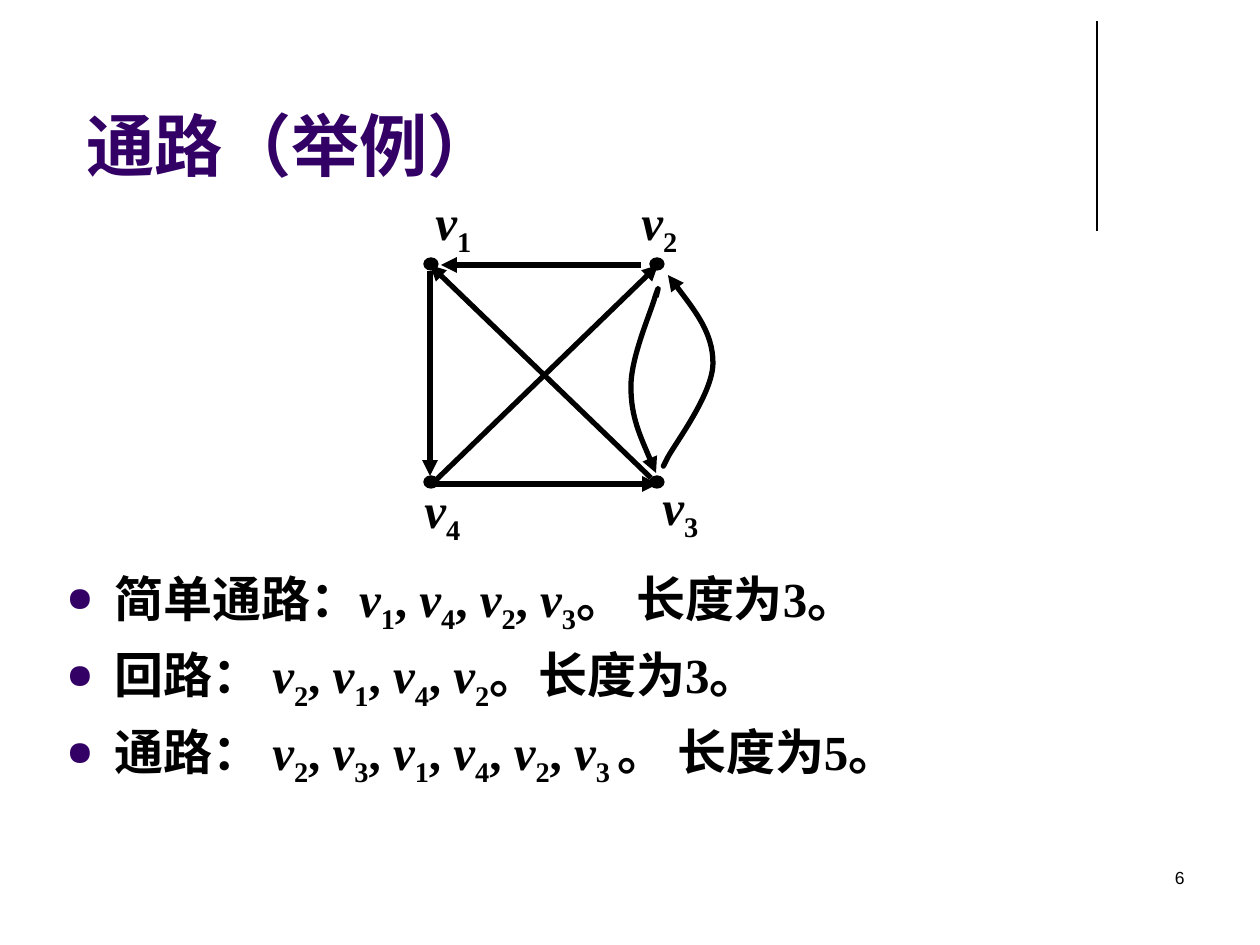
import pptx
import pptx.dml.color
import pptx.enum.shapes
import pptx.enum.text
import pptx.oxml
import pptx.oxml.ns
import pptx.util

EMU_PER_PX = 914400 / 126
BLACK = pptx.dml.color.RGBColor(0x00, 0x00, 0x00)
PURPLE = pptx.dml.color.RGBColor(0x33, 0x00, 0x66)
SERIF = "Times New Roman"
SANS = "Arial"

DOTS = [(424, 258), (650, 258), (424, 476), (650, 476)]
LABELS = [("1", 423, 185, 96), ("2", 629, 185, 91),
          ("3", 650, 470, 64), ("4", 412, 473, 64)]
STRAIGHT_EDGES = [
    ((641, 265), (441, 265)),
    ((651, 478), (430, 265)),
    ((433, 483), (658, 265)),
    ((430, 271), (430, 476)),
    ((436, 484), (658, 484)),
]
CURVED_EDGES = [
    [(668, 457), (664, 465), (660, 473), (668, 457), (677, 441),
     (713, 393), (713, 363), (713, 333), (690, 304), (668, 275)],
    [(656, 297), (658, 290), (660, 282), (655, 297), (651, 312),
     (630, 359), (631, 388), (631, 417), (644, 445), (656, 473)],
]
WALKS = [
    ("简单通路：", ["1", "4", "2", "3"], "。 长度为3。"),
    ("回路： ", ["2", "1", "4", "2"], "。长度为3。"),
    ("通路： ", ["2", "3", "1", "4", "2", "3 "], "。 长度为5。"),
]


def px(length):
    return pptx.util.Emu(round(length * EMU_PER_PX))


def add_xml(parent, tag, **attributes):
    element = pptx.oxml.parse_xml(f"<a:{tag} {pptx.oxml.ns.nsdecls('a')}/>")
    for name, value in attributes.items():
        element.set(name, value)
    parent.append(element)
    return element


def set_font(paragraph, size, name, color, bold):
    font = paragraph.font
    font.size = pptx.util.Pt(size)
    font.name = name
    font.bold = bold
    font.color.rgb = color


def set_stroke(shape, width, arrow=False):
    shape.line.color.rgb = BLACK
    shape.line.width = pptx.util.Pt(width)
    if arrow:
        add_xml(shape.line._get_or_add_ln(), "tailEnd", type="triangle")


def add_textbox(slide, left, top, width, height):
    box = slide.shapes.add_textbox(px(left), px(top), px(width), px(height))
    box.text_frame.word_wrap = True
    return box.text_frame


def add_line(slide, start, end, width, arrow=False):
    line = slide.shapes.add_connector(
        pptx.enum.shapes.MSO_CONNECTOR.STRAIGHT, *map(px, start + end))
    set_stroke(line, width, arrow)
    add_xml(line._element.spPr, "effectLst")


def add_curve(slide, points):
    builder = slide.shapes.build_freeform(*points[0], scale=EMU_PER_PX)
    builder.add_line_segments(points[1:], close=False)
    shape = builder.convert_to_shape()
    shape.fill.background()
    shape.shadow.inherit = False
    set_stroke(shape, 3, arrow=True)
    segments = shape._element.findall(".//" + pptx.oxml.ns.qn("a:lnTo"))
    outline = segments[0].getparent()
    for first in range(0, len(segments), 3):
        bezier = add_xml(outline, "cubicBezTo")
        for segment in segments[first:first + 3]:
            bezier.append(segment[0])
            outline.remove(segment)


def add_dot(slide, left, top):
    dot = slide.shapes.add_shape(
        pptx.enum.shapes.MSO_SHAPE.OVAL, px(left), px(top), px(14), px(12))
    dot.fill.solid()
    dot.fill.fore_color.rgb = BLACK
    dot.shadow.inherit = False
    set_stroke(dot, 0.75)


def add_vertex_name(paragraph, index):
    letter = paragraph.add_run()
    letter.text = "v"
    letter.font.italic = True
    subscript = paragraph.add_run()
    subscript.text = index
    subscript.font._element.set("baseline", "-25000")


def add_label(slide, index, left, top, width):
    paragraph = add_textbox(slide, left, top, width, 72).paragraphs[0]
    set_font(paragraph, 28, SERIF, BLACK, True)
    add_vertex_name(paragraph, index)


def add_bullet(paragraph):
    properties = paragraph._p.get_or_add_pPr()
    properties.set("marL", str(px(48)))
    properties.set("indent", str(px(-48)))
    color = add_xml(properties, "buClr")
    add_xml(color, "srgbClr", val=str(PURPLE))
    add_xml(properties, "buSzPct", val="70000")
    add_xml(properties, "buChar", char="●")


def add_walks(slide):
    frame = add_textbox(slide, 54, 562, 1134, 268)
    for number, (name, vertices, length) in enumerate(WALKS):
        paragraph = frame.add_paragraph() if number else frame.paragraphs[0]
        add_bullet(paragraph)
        paragraph.space_before = pptx.util.Pt(5.6)
        set_font(paragraph, 28, SERIF, BLACK, True)
        paragraph.add_run().text = name
        for position, vertex in enumerate(vertices):
            if position:
                paragraph.add_run().text = ", "
            add_vertex_name(paragraph, vertex)
        paragraph.add_run().text = length


def set_title(slide, text):
    title = slide.shapes.title
    title.left, title.top, title.width, title.height = map(px, (74, 66, 1103, 126))
    frame = title.text_frame
    frame.text = text
    frame.auto_size = pptx.enum.text.MSO_AUTO_SIZE.NONE
    frame.vertical_anchor = pptx.enum.text.MSO_ANCHOR.BOTTOM
    paragraph = frame.paragraphs[0]
    paragraph.alignment = pptx.enum.text.PP_ALIGN.LEFT
    set_font(paragraph, 39, SANS, PURPLE, True)


def add_page_number(slide, number):
    paragraph = add_textbox(slide, 903, 861, 294, 63).paragraphs[0]
    paragraph.alignment = pptx.enum.text.PP_ALIGN.RIGHT
    set_font(paragraph, 10, SANS, BLACK, False)
    paragraph.add_run().text = number


def main():
    """Build the slide with a directed graph and examples of its walks."""
    presentation = pptx.Presentation()
    presentation.slide_width = px(1260)
    presentation.slide_height = px(945)
    slide = presentation.slides.add_slide(presentation.slide_layouts[5])
    add_line(slide, (1097, 21), (1097, 231), 0.75)
    set_title(slide, "通路（举例）")
    add_walks(slide)
    add_page_number(slide, "6")
    for dot in DOTS:
        add_dot(slide, *dot)
    for label in LABELS:
        add_label(slide, *label)
    for start, end in STRAIGHT_EDGES:
        add_line(slide, start, end, 3, arrow=True)
    for points in CURVED_EDGES:
        add_curve(slide, points)
    presentation.save("out.pptx")


if __name__ == "__main__":
    main()
